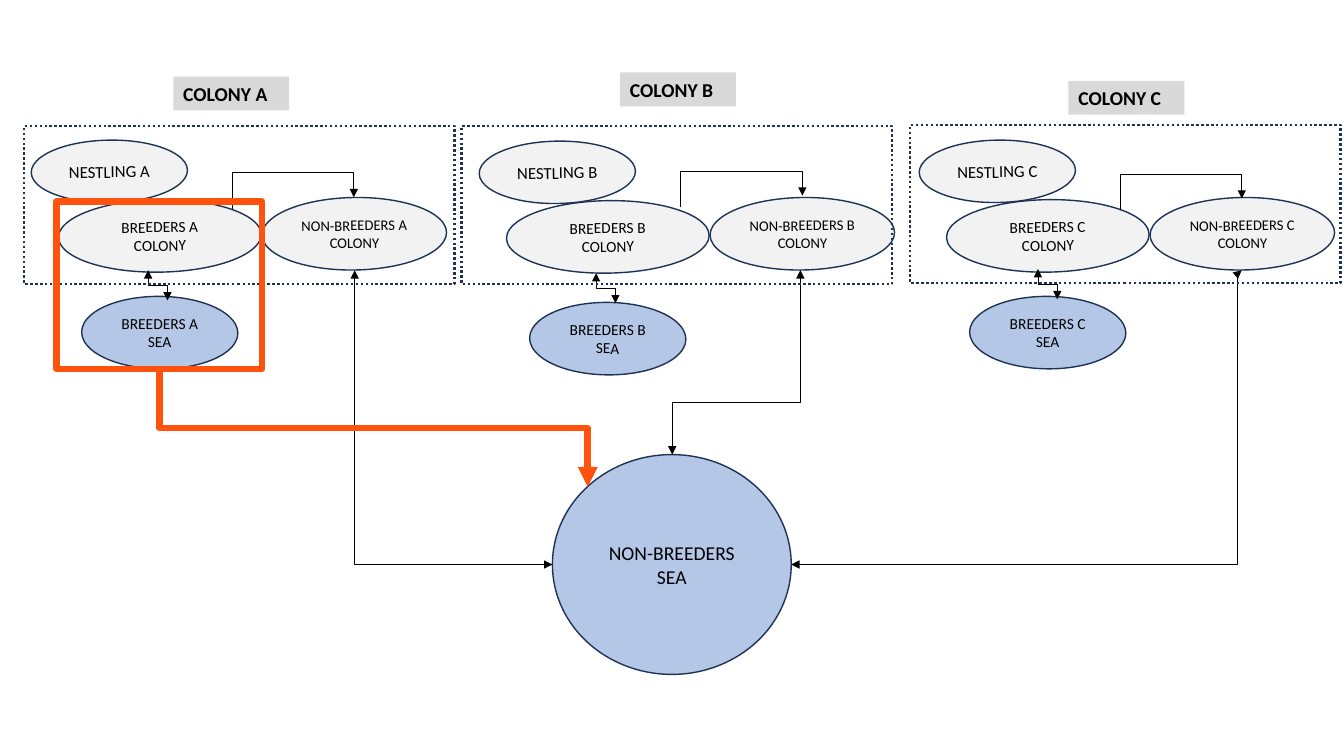
"""Draw the colony and sea movement diagram for three breeding colonies."""
import dataclasses

import lxml.etree
import pptx
import pptx.dml.color
import pptx.enum.dml
import pptx.enum.shapes
import pptx.enum.text
import pptx.oxml.ns
import pptx.util

Pt = pptx.util.Pt
RGB = pptx.dml.color.RGBColor.from_string
SHAPE = pptx.enum.shapes.MSO_SHAPE
ALIGN = pptx.enum.text.PP_ALIGN
qn = pptx.oxml.ns.qn


@dataclasses.dataclass(frozen=True)
class Theme:
    font: str = "Calibri"
    text: str = "000000"
    land: str = "F2F2F2"
    sea: str = "B4C7E7"
    outline: str = "1E3256"
    label: str = "D9D9D9"
    accent: str = "FF520D"
    heading_size: float = 14
    nestling_size: float = 12
    breeder_size: float = 11
    non_breeder_size: float = 10.5


theme = Theme()


def add_ellipse(shapes, text, box, fill, size, rotation=0):
    sp = shapes.add_shape(SHAPE.OVAL, *map(Pt, box))
    sp.rotation = rotation
    sp.shadow.inherit = False
    sp.fill.solid()
    sp.fill.fore_color.rgb = RGB(fill)
    sp.line.color.rgb = RGB(theme.outline)
    sp.line.width = Pt(1)
    tf = sp.text_frame
    tf.word_wrap = True
    tf.text = text
    for p in tf.paragraphs:
        p.alignment = ALIGN.CENTER
        p.font.name = theme.font
        p.font.size = Pt(size)
        p.font.color.rgb = RGB(theme.text)


def add_elbow(start, end, bend=None, two_way=True, vertical=True, color=theme.text, width=0.5):
    (x1, y1), (x2, y2) = start, end
    if vertical:
        cx, cy, dx, dy = (x1 + x2) / 2, (y1 + y2) / 2, x2 - x1, y2 - y1
        x1, y1, x2, y2 = cx - dy / 2, cy + dx / 2, cx + dy / 2, cy - dx / 2
    sp = s.shapes.add_connector(pptx.enum.shapes.MSO_CONNECTOR.ELBOW, *map(Pt, (x1, y1, x2, y2)))
    sp.line.color.rgb = RGB(color)
    sp.line.width = Pt(width)
    pr = sp._element.spPr
    if vertical:
        pr.find(qn("a:xfrm")).set("rot", "5400000")
    geom = pr.find(qn("a:prstGeom"))
    if bend is None:
        geom.set("prst", "bentConnector2")
    else:
        lxml.etree.SubElement(geom.find(qn("a:avLst")), qn("a:gd"),
                              name="adj1", fmla=f"val {round(bend * 100000)}")
    ln = pr.find(qn("a:ln"))
    for tag in ["a:headEnd", "a:tailEnd"] if two_way else ["a:tailEnd"]:
        lxml.etree.SubElement(ln, qn(tag), type="triangle")
    lxml.etree.SubElement(pr, qn("a:effectLst"))


prs = pptx.Presentation()
prs.slide_width, prs.slide_height = Pt(960), Pt(540)
s = prs.slides.add_slide(prs.slide_layouts[6])

# name, x shift, breeder and nestling y shift, sea y shift
colonies = [("A", 0, 0, 0), ("B", 320, 0.7, 4.3), ("C", 634.3, 0, 0)]
for name, dx, dy, sea_dy in colonies:
    group = s.shapes.add_group_shape().shapes
    add_ellipse(group, f"BREEDERS {name} COLONY", (41.8 + dx, 142.6 + dy, 144.7, 51.8),
                theme.land, theme.breeder_size, 359.1)
    add_ellipse(group, f"NESTLING {name}", (22.3 + dx, 100.1 + dy, 111.6, 44.6),
                theme.land, theme.nestling_size, 359.1)
    add_ellipse(group, f"NON-BREEDERS {name}\nCOLONY", (187.2 + dx, 141.1, 131.8, 51.8),
                theme.land, theme.non_breeder_size, 359.1)
    add_ellipse(group, f"BREEDERS {name} SEA", (58.3 + dx, 211.7 + sea_dy, 111.6, 51.8),
                theme.sea, theme.breeder_size, 0.5)

add_ellipse(s.shapes, "NON-BREEDERS\nSEA", (394.6, 324.7, 170.6, 157), theme.sea, theme.heading_size)
add_elbow((253.4, 193), (394.6, 403.2))
add_elbow((887, 193), (565.2, 403.2), 0.01, vertical=False)
add_elbow((571.7, 193), (480.2, 324.7), 0.717)

for x, y in [(105.8, 193), (425.8, 195.1), (741.4, 192.2)]:
    add_elbow((x, y), (x + 13.8, y + 21.6), 0.5)
for x, y in [(165.6, 149.3), (486, 148.2), (799.9, 150.3)]:
    add_elbow((x, y), (x + 87.1, y - 8.4), 3.1, two_way=False)

frames = [(x, y, 307.4, 113, theme.outline, 1.75) for x, y in [(17.3, 90), (329.8, 90), (650.2, 89.3)]]
highlight = (40.3, 144, 146.9, 119.5, theme.accent, 4.5)
for *box, color, width in frames + [highlight]:
    sp = s.shapes.add_shape(SHAPE.RECTANGLE, *map(Pt, box))
    sp.shadow.inherit = False
    sp.fill.background()
    sp.line.color.rgb = RGB(color)
    sp.line.width = Pt(width)
    if color == theme.outline:
        sp.line.dash_style = pptx.enum.dml.MSO_LINE.ROUND_DOT

for name, x, y in [("A", 123.8, 54.7), ("B", 442.8, 51.8), ("C", 763.2, 57.8)]:
    sp = s.shapes.add_textbox(*map(Pt, (x, y, 82.8, 24.2)))
    sp.fill.solid()
    sp.fill.fore_color.rgb = RGB(theme.label)
    tf = sp.text_frame
    tf.word_wrap = True
    tf.auto_size = pptx.enum.text.MSO_AUTO_SIZE.SHAPE_TO_FIT_TEXT
    tf.text = f"COLONY {name}"
    p = tf.paragraphs[0]
    p.font.name = theme.font
    p.font.size = Pt(theme.heading_size)
    p.font.bold = True
    p.font.color.rgb = RGB(theme.text)

add_elbow((113.8, 263.5), (419.8, 347.8), 0.5, two_way=False, color=theme.accent, width=4.75)

prs.save("out.pptx")
